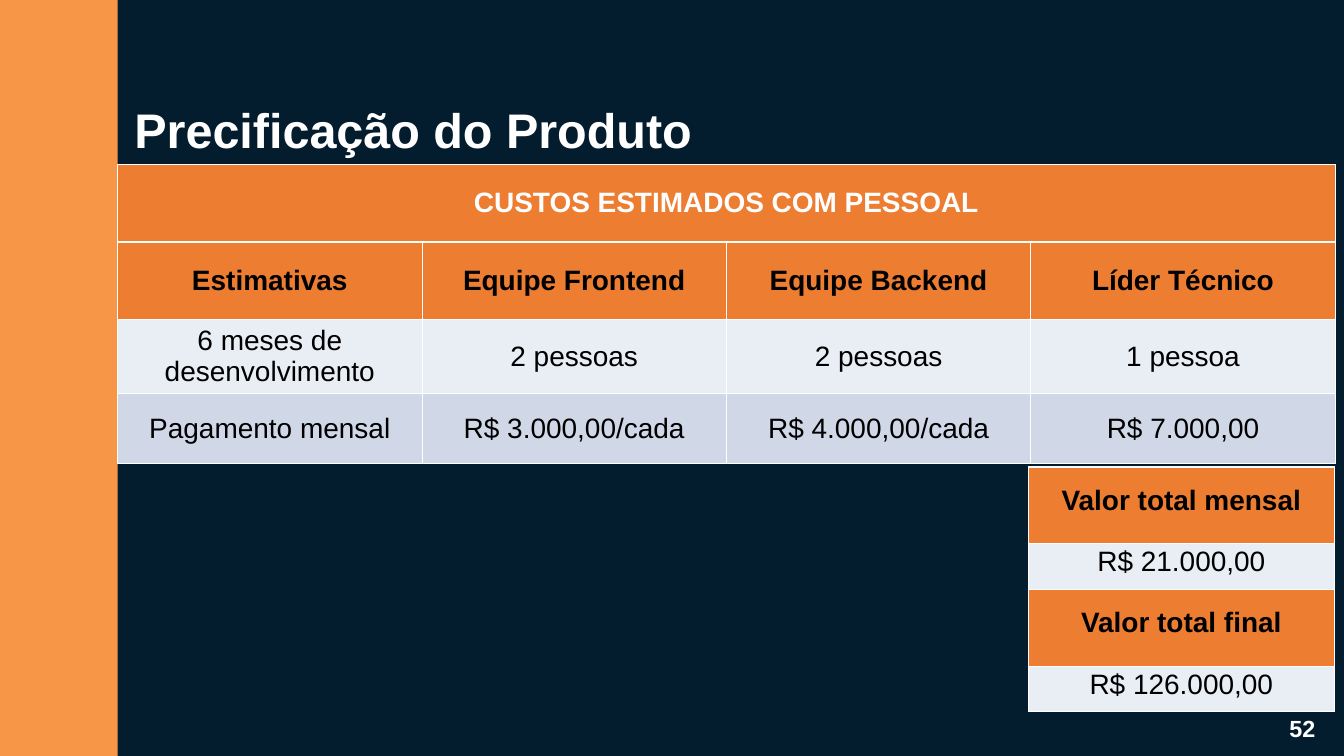
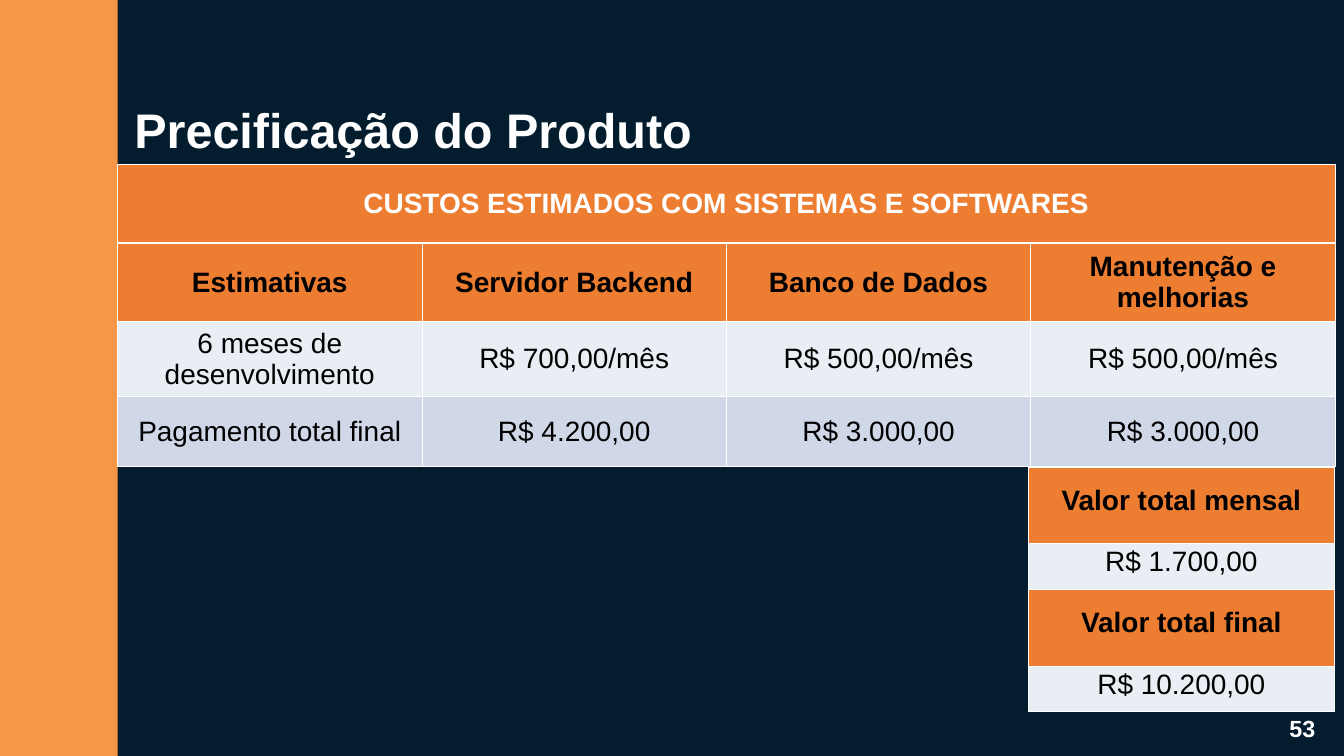
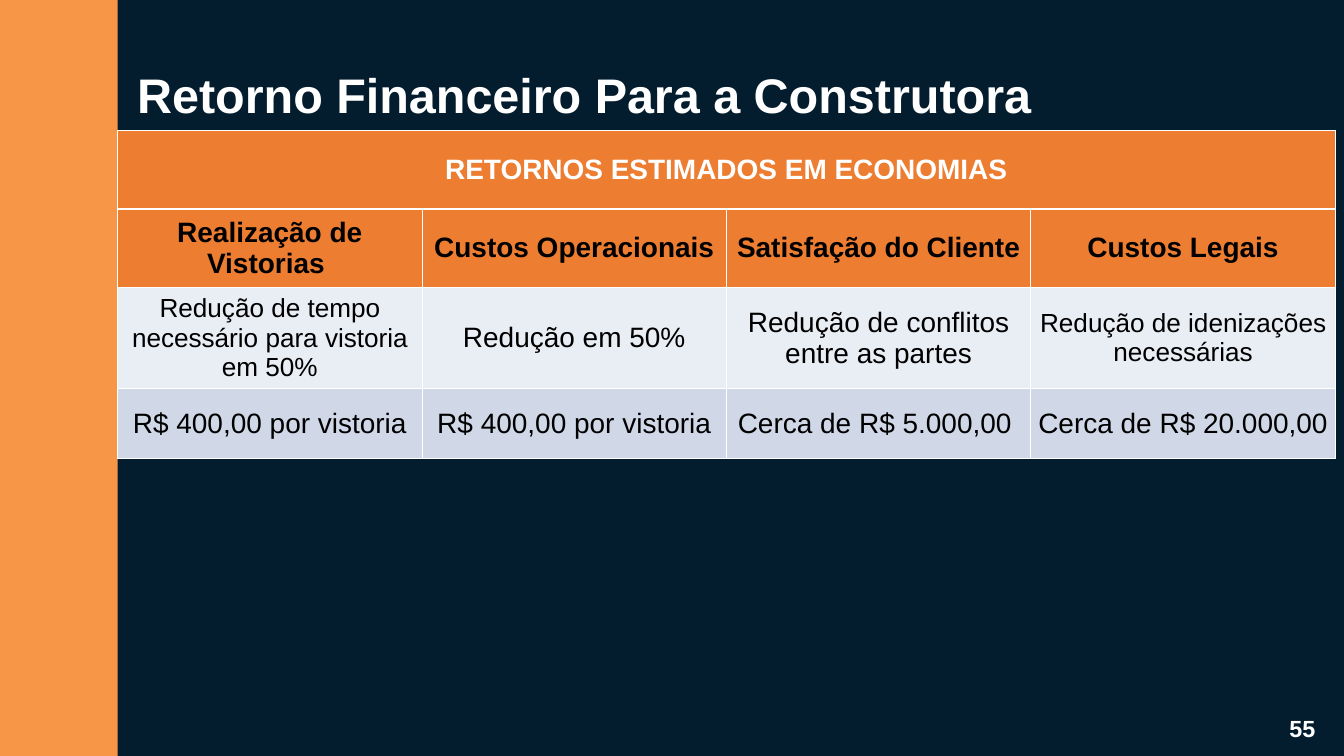
"""Build three slides on product pricing and financial return."""
from lxml import etree
from pptx import Presentation
from pptx.dml.color import RGBColor
from pptx.enum.shapes import MSO_SHAPE
from pptx.enum.text import MSO_ANCHOR, MSO_AUTO_SIZE, PP_ALIGN
from pptx.oxml.ns import qn
from pptx.util import Inches, Pt

RECTANGLE = MSO_SHAPE.RECTANGLE
TOP, MIDDLE = MSO_ANCHOR.TOP, MSO_ANCHOR.MIDDLE
LEFT, CENTER = PP_ALIGN.LEFT, PP_ALIGN.CENTER
NO_AUTOFIT = MSO_AUTO_SIZE.NONE

COLORS = {
    "night": "041D2E",
    "band": "F79646",
    "orange": "ED7D31",
    "pale": "E9EDF4",
    "blue": "D0D8E8",
    "white": "FFFFFF",
    "black": "000000",
}
FONT = "Arial"
WIDTH, HEIGHT = 20, 11.25
BAND = 1.75
COLUMN = 4.53
TOTAL_LEFT, TOTAL_TOP, TOTAL_WIDTH = 15.3, 6.95, 4.56
TOTAL_ROWS = [1.14, 0.68]
ROW_FILLS = ["orange", "orange", "pale", "blue"]

SLIDES = [
    {
        "title": "Precificação do Produto", "at": (2, 1.34), "number": "52",
        "table_top": 2.45, "rows": [1.15, 1.15, 1.11, 1.03],
        "heading": "CUSTOS ESTIMADOS COM PESSOAL",
        "cells": [
            ["Estimativas", "Equipe Frontend", "Equipe Backend", "Líder Técnico"],
            ["6 meses de desenvolvimento", "2 pessoas", "2 pessoas", "1 pessoa"],
            ["Pagamento mensal", "R$ 3.000,00/cada", "R$ 4.000,00/cada", "R$ 7.000,00"],
        ],
        "small": [],
        "totals": [("Valor total mensal", "R$ 21.000,00"), ("Valor total final", "R$ 126.000,00")],
    },
    {
        "title": "Precificação do Produto", "at": (2, 1.34), "number": "53",
        "table_top": 2.45, "rows": [1.17, 1.17, 1.11, 1.04],
        "heading": "CUSTOS ESTIMADOS COM SISTEMAS E SOFTWARES",
        "cells": [
            ["Estimativas", "Servidor Backend", "Banco de Dados", "Manutenção e melhorias"],
            ["6 meses de desenvolvimento", "R$ 700,00/mês", "R$ 500,00/mês", "R$ 500,00/mês"],
            ["Pagamento total final", "R$ 4.200,00", "R$ 3.000,00", "R$ 3.000,00"],
        ],
        "small": [],
        "totals": [("Valor total mensal", "R$ 1.700,00"), ("Valor total final", "R$ 10.200,00")],
    },
    {
        "title": "Retorno Financeiro Para a Construtora", "at": (2.04, 0.82), "number": "55",
        "table_top": 1.94, "rows": [1.17, 1.17, 1.5, 1.04],
        "heading": "RETORNOS ESTIMADOS EM ECONOMIAS",
        "cells": [
            ["Realização de Vistorias ", "Custos Operacionais", "Satisfação do Cliente", "Custos Legais"],
            ["Redução de tempo necessário para vistoria em 50%", "Redução em 50%",
             "Redução de conflitos entre as partes", "Redução de idenizações necessárias"],
            ["R$ 400,00 por vistoria", "R$ 400,00 por vistoria",
             "Cerca de R$ 5.000,00 ", "Cerca de R$ 20.000,00"],
        ],
        "small": [(2, 0), (2, 3)],
        "totals": [],
    },
]


def write(para, text, size, color, bold=True, align=CENTER, spacing=None):
    """Add one formatted run to a paragraph."""
    para.alignment = align
    if spacing:
        para.line_spacing = Pt(spacing)
    span = para.add_run()
    span.text = text
    span.font.name = FONT
    span.font.size = Pt(size)
    span.font.bold = bold
    span.font.color.rgb = RGBColor.from_string(COLORS[color])


def add_grid(page, left, top, widths, heights, fills, line, margins):
    """Add a table with filled cells and white borders (left, right, top, bottom)."""
    frame = page.shapes.add_table(len(heights), len(widths), Inches(left), Inches(top),
                                  Inches(sum(widths)), Inches(sum(heights)))
    table = frame.table
    table.first_row = table.horz_banding = False
    for column, width in zip(table.columns, widths):
        column.width = Inches(width)
    for row, height, fill in zip(table.rows, heights, fills):
        row.height = Inches(height)
        for cell in row.cells:
            cell.vertical_anchor = MIDDLE
            cell.margin_left = cell.margin_right = Inches(margins[0])
            cell.margin_top = cell.margin_bottom = Inches(margins[1])
            cell.fill.solid()
            cell.fill.fore_color.rgb = RGBColor.from_string(COLORS[fill])
            properties = cell._tc.get_or_add_tcPr()
            for index, side in enumerate(["a:lnL", "a:lnR", "a:lnT", "a:lnB"]):
                border = etree.Element(qn(side), w=str(Pt(line)))
                paint = etree.SubElement(border, qn("a:solidFill"))
                etree.SubElement(paint, qn("a:srgbClr"), val=COLORS["white"])
                properties.insert(index, border)
    return table


deck = Presentation()
deck.slide_width, deck.slide_height = Inches(WIDTH), Inches(HEIGHT)
background = deck.slide_master.background.fill
background.solid()
background.fore_color.rgb = RGBColor.from_string(COLORS["night"])
title_only = deck.slide_layouts[5]

for content in SLIDES:
    page = deck.slides.add_slide(title_only)

    title = page.shapes.title
    title.left, title.top = [Inches(value) for value in content["at"]]
    title.width, title.height = Inches(14.41), Inches(0.95)
    frame = title.text_frame
    frame.auto_size, frame.vertical_anchor, frame.word_wrap = NO_AUTOFIT, TOP, True
    frame.margin_left = frame.margin_right = frame.margin_top = frame.margin_bottom = 0
    write(frame.paragraphs[0], content["title"], 52, "white", align=LEFT, spacing=72.8)

    band = page.shapes.add_shape(RECTANGLE, 0, 0, Inches(BAND), Inches(HEIGHT))
    band.shadow.inherit = False
    band.fill.solid()
    band.fill.fore_color.rgb = RGBColor.from_string(COLORS["band"])
    band.line.fill.background()

    number = page.shapes.add_textbox(Inches(19.09), Inches(10.58), Inches(0.72), Inches(0.52))
    number.text_frame.word_wrap = True
    write(number.text_frame.paragraphs[0], content["number"], 25, "white", align=LEFT)

    costs = add_grid(page, BAND, content["table_top"], [COLUMN] * 4, content["rows"],
                     ROW_FILLS, 1, (0.05, 0.05))
    costs.cell(0, 0).merge(costs.cell(0, 3))
    write(costs.cell(0, 0).text_frame.paragraphs[0], content["heading"], 30, "white")
    for column in range(4):
        for row, side in [(0, "a:lnB"), (1, "a:lnT")]:
            costs.cell(row, column)._tc.tcPr.find(qn(side)).set("w", str(Pt(3)))
    for row, texts in enumerate(content["cells"], start=1):
        for column, text in enumerate(texts):
            size = 28 if (row, column) in content["small"] else 30
            write(costs.cell(row, column).text_frame.paragraphs[0], text, size, "black", bold=row == 1)

    for index, texts in enumerate(content["totals"]):
        total = add_grid(page, TOTAL_LEFT, TOTAL_TOP + index * sum(TOTAL_ROWS), [TOTAL_WIDTH],
                         TOTAL_ROWS, ["orange", "pale"], 0.67, (0.07, 0.03))
        total.cell(0, 0)._tc.tcPr.find(qn("a:lnT")).set("w", str(Pt(2)))
        for row, text in enumerate(texts):
            write(total.cell(row, 0).text_frame.paragraphs[0], text, 30, "black",
                  bold=row == 0, spacing=24)

deck.save("out.pptx")
